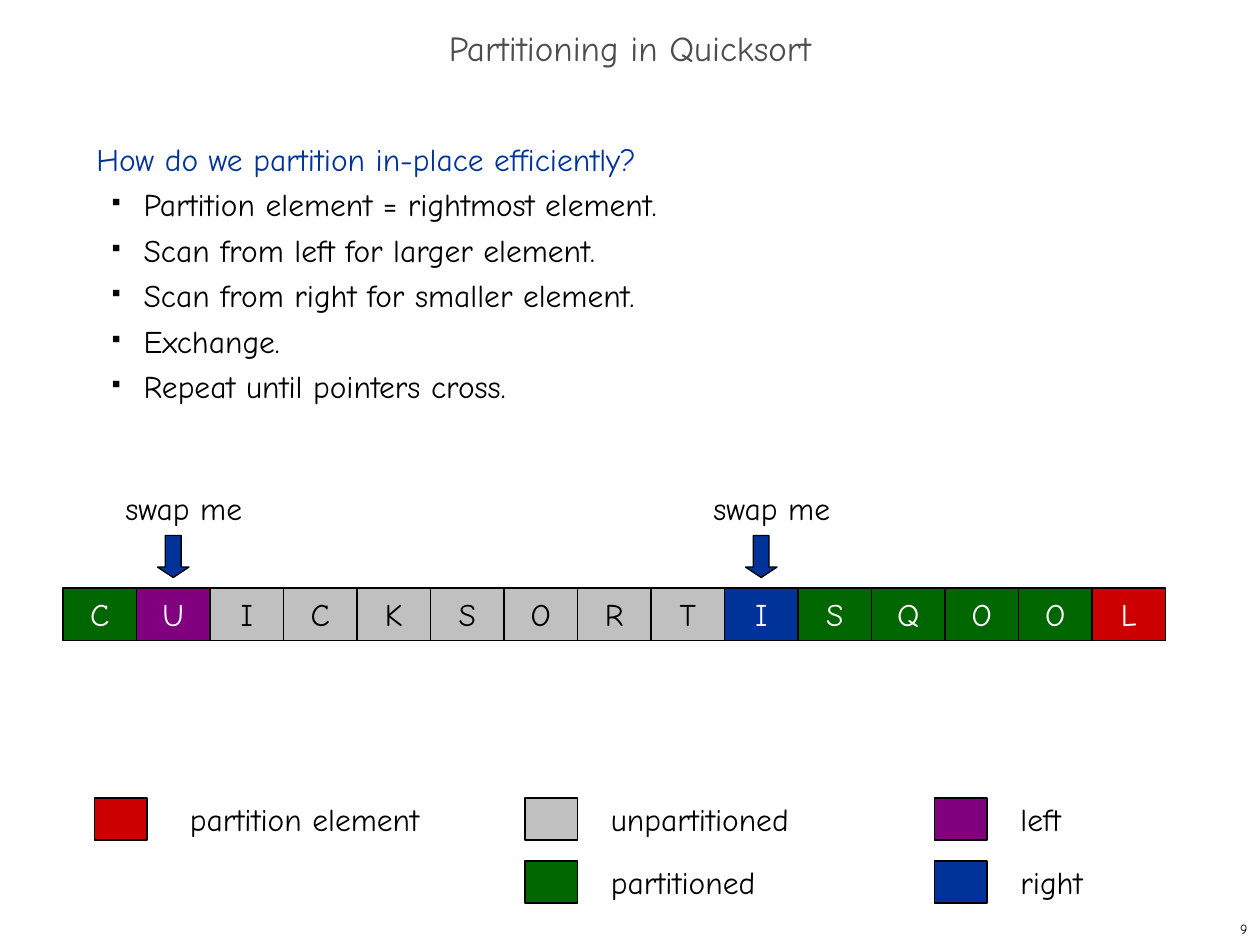
import pptx
import pptx.dml.color
import pptx.enum.shapes
import pptx.enum.text
import pptx.oxml
import pptx.oxml.ns
import pptx.util

Pt = pptx.util.Pt
SHAPE = pptx.enum.shapes.MSO_SHAPE
ALIGN = pptx.enum.text.PP_ALIGN
ANCHOR = pptx.enum.text.MSO_ANCHOR

COLORS = {
    "partition element": "CC0000",
    "unpartitioned": "C0C0C0",
    "partitioned": "006600",
    "left": "800080",
    "right": "003399",
    "title": "4D4D4D",
    "swap": "010000",
    "black": "000000",
    "white": "FFFFFF",
}


def rgb(name):
    return pptx.dml.color.RGBColor.from_string(COLORS[name])


class SlideBuilder:
    font = "Comic Neue"
    size = 18
    line_width = 0.75

    def __init__(self, slide):
        self.slide = slide

    def add_text(self, paragraph, text, color="black", size=None, align=ALIGN.LEFT):
        paragraph.alignment = align
        run = paragraph.add_run()
        run.text = text
        run.font.name = self.font
        run.font.size = Pt(size or self.size)
        run.font.color.rgb = rgb(color)

    def title(self, text, left, top, width, height):
        title = self.slide.shapes.title
        title.left, title.top, title.width, title.height = map(
            Pt, (left, top, width, height))
        title.text_frame.vertical_anchor = ANCHOR.MIDDLE
        paragraph = title.text_frame.paragraphs[0]
        paragraph.line_spacing = 0.7
        self.add_text(paragraph, text, "title", 20, ALIGN.CENTER)

    def text_frame(self, left, top, width, height, anchor=ANCHOR.MIDDLE):
        box = self.slide.shapes.add_textbox(*map(Pt, (left, top, width, height)))
        box.text_frame.word_wrap = True
        box.text_frame.vertical_anchor = anchor
        return box.text_frame

    def label(self, text, left, top, width, height, anchor=ANCHOR.MIDDLE, **style):
        frame = self.text_frame(left, top, width, height, anchor)
        self.add_text(frame.paragraphs[0], text, **style)

    def shape(self, kind, role, left, top, width, height):
        shape = self.slide.shapes.add_shape(kind, *map(Pt, (left, top, width, height)))
        shape.shadow.inherit = False
        shape.fill.solid()
        shape.fill.fore_color.rgb = rgb(role)
        shape.line.color.rgb = rgb("black")
        shape.line.width = Pt(self.line_width)
        return shape

    def cell(self, letter, role, left, top, width, height):
        frame = self.shape(SHAPE.RECTANGLE, role, left, top, width, height).text_frame
        frame.word_wrap = False
        frame.vertical_anchor = ANCHOR.MIDDLE
        color = "black" if role == "unpartitioned" else "white"
        self.add_text(frame.paragraphs[0], letter, color, align=ALIGN.CENTER)

    def swap_pointer(self, center):
        arrow = self.shape(SHAPE.DOWN_ARROW, "right", center - 9, 306, 18, 24)
        arrow.adjustments[0] = 0.5
        arrow.adjustments[1] = 0.33
        self.label("swap me", center - 45, 276, 102, 29, ANCHOR.TOP,
                   color="swap", align=ALIGN.CENTER)

    def legend_entry(self, role, left, top, width, align=ALIGN.LEFT):
        self.shape(SHAPE.RECTANGLE, role, left, top, 30, 24)
        self.label(role, left + 42, top, width, 24, align=align)

    def bullet(self, paragraph):
        paragraph.level = 1
        properties = paragraph._p.get_or_add_pPr()
        properties.set("marL", str(Pt(27)))
        properties.set("indent", str(-Pt(18)))
        namespace = pptx.oxml.ns.nsdecls("a")
        for markup in (
            f'<a:buClr {namespace}><a:srgbClr val="{COLORS["black"]}"/></a:buClr>',
            f'<a:buSzPct {namespace} val="35000"/>',
            f'<a:buChar {namespace} char="■"/>',
        ):
            properties.append(pptx.oxml.parse_xml(markup))

    def question(self, heading, steps, left, top, width, height):
        """Add a heading with bulleted steps below it."""
        frame = self.text_frame(left, top, width, height, ANCHOR.TOP)
        paragraph = frame.paragraphs[0]
        paragraph.line_spacing = Pt(26)
        self.add_text(paragraph, heading, "right")
        for step in steps:
            paragraph = frame.add_paragraph()
            paragraph.line_spacing = Pt(26)
            self.bullet(paragraph)
            self.add_text(paragraph, step)


def main():
    presentation = pptx.Presentation()
    presentation.slide_width, presentation.slide_height = Pt(720), Pt(540)
    builder = SlideBuilder(
        presentation.slides.add_slide(presentation.slide_layouts[5]))

    builder.title("Partitioning in Quicksort", 0, 12, 720, 36)
    builder.question(
        "How do we partition in-place efficiently?",
        ["Partition element = rightmost element.",
         "Scan from left for larger element.",
         "Scan from right for smaller element.",
         "Exchange.",
         "Repeat until pointers cross."],
        48, 72, 618, 192)

    letters = "CUICKSORTISQOOL"
    roles = (["partitioned", "left"] + ["unpartitioned"] * 7 + ["right"]
             + ["partitioned"] * 4 + ["partition element"])
    array_left, cell_width = 36, 42
    for index, (letter, role) in enumerate(zip(letters, roles)):
        left = array_left + index * cell_width
        builder.cell(letter, role, left, 336, cell_width, 30)
        if role in ("left", "right"):
            builder.swap_pointer(left + cell_width / 2)

    upper_row, lower_row = 456, 492
    builder.legend_entry("partition element", 54, upper_row, 156, ALIGN.CENTER)
    builder.legend_entry("unpartitioned", 300, upper_row, 156)
    builder.legend_entry("partitioned", 300, lower_row, 156)
    builder.legend_entry("left", 534, upper_row, 78)
    builder.legend_entry("right", 534, lower_row, 78)

    builder.label("9", 570, 522, 150, 18, size=8, align=ALIGN.RIGHT)
    presentation.save("out.pptx")


if __name__ == "__main__":
    main()
